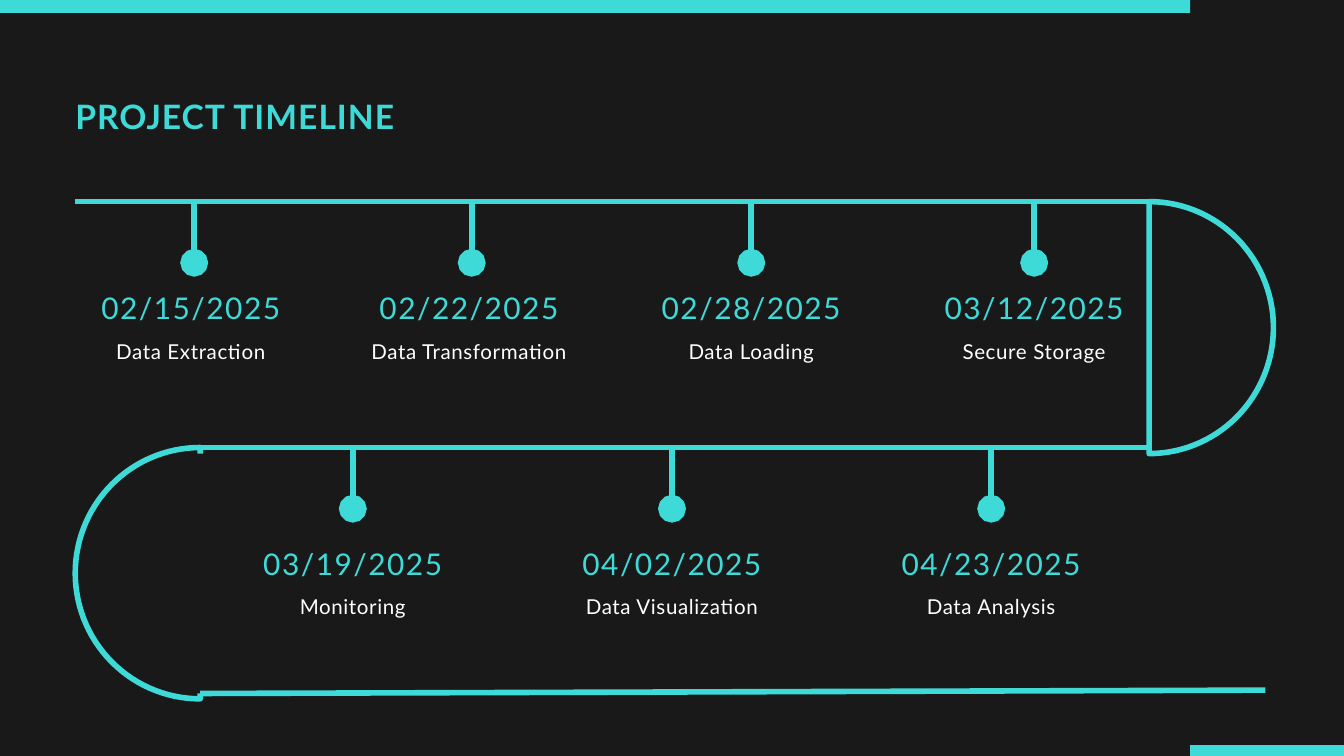
from dataclasses import dataclass
from math import cos, pi, sin

from lxml import etree
from pptx import Presentation
from pptx.dml.color import RGBColor
from pptx.enum.shapes import MSO_CONNECTOR, MSO_SHAPE
from pptx.enum.text import MSO_ANCHOR, MSO_AUTO_SIZE, PP_ALIGN
from pptx.oxml.ns import qn
from pptx.util import Inches, Pt

STRAIGHT = MSO_CONNECTOR.STRAIGHT
RECTANGLE = MSO_SHAPE.RECTANGLE
TOP = MSO_ANCHOR.TOP
NO_FIT = MSO_AUTO_SIZE.NONE
LEFT, CENTER = PP_ALIGN.LEFT, PP_ALIGN.CENTER
TITLE_ONLY = 5


@dataclass(frozen=True)
class Theme:
    font: str = "Lato"
    back: RGBColor = RGBColor(0x19, 0x19, 0x19)
    accent: RGBColor = RGBColor(0x3E, 0xDA, 0xD8)
    white: RGBColor = RGBColor(0xFF, 0xFF, 0xFF)
    title_size: float = 36
    date_size: float = 32
    label_size: float = 22
    line_width: float = 6


class TimelineSlide:
    def __init__(self, prs, theme):
        self.theme = theme
        self.s = prs.slides.add_slide(prs.slide_layouts[TITLE_ONLY])
        fill = self.s.background.fill
        fill.solid()
        fill.fore_color.rgb = theme.back

    def outline(self, shape):
        shape.line.color.rgb = self.theme.accent
        shape.line.width = Pt(self.theme.line_width)

    def bar(self, x, y, w, h, color):
        sp = self.s.shapes.add_shape(RECTANGLE, Inches(x), Inches(y), Inches(w), Inches(h))
        sp.shadow.inherit = False
        sp.fill.solid()
        sp.fill.fore_color.rgb = color
        sp.line.fill.background()

    def bend(self, x, top, bottom, reach, steps=60):
        """Closed half ellipse from (x, top) to (x, bottom), bulging by reach."""
        mid, radius = (top + bottom) / 2, (bottom - top) / 2
        angles = [pi * i / steps for i in range(steps + 1)]
        points = [(Inches(x + reach * sin(a)), Inches(mid - radius * cos(a))) for a in angles]
        builder = self.s.shapes.build_freeform(*points[0])
        builder.add_line_segments(points[1:], close=True)
        sp = builder.convert_to_shape()
        sp.shadow.inherit = False
        sp.fill.background()
        self.outline(sp)

    def line(self, x1, y1, x2, y2, dot=False):
        c = self.s.shapes.add_connector(STRAIGHT, Inches(x1), Inches(y1), Inches(x2), Inches(y2))
        self.outline(c)
        if dot:
            etree.SubElement(c.line._get_or_add_ln(), qn("a:tailEnd"),
                             type="oval", w="lg", len="lg")
        etree.SubElement(c._element.spPr, qn("a:effectLst"))

    def set_text(self, sp, text, size, color, leading, tracking, align, bold=False):
        tf = sp.text_frame
        tf.text = text
        tf.word_wrap = True
        tf.auto_size = NO_FIT
        tf.vertical_anchor = TOP
        tf.margin_left = tf.margin_top = tf.margin_right = tf.margin_bottom = 0
        p = tf.paragraphs[0]
        p.alignment = align
        p.line_spacing = Pt(leading)
        r = p.runs[0]
        r.font.name = self.theme.font
        r.font.size = Pt(size)
        r.font.bold = bold
        r.font.color.rgb = color
        r._r.get_or_add_rPr().set("spc", str(round(tracking * 100)))

    def title(self, text, x, y, w, h):
        sp = self.s.shapes.title
        sp.left, sp.top, sp.width, sp.height = Inches(x), Inches(y), Inches(w), Inches(h)
        self.set_text(sp, text, self.theme.title_size, self.theme.accent, 46.8, 1.1, LEFT,
                      bold=True)

    def text(self, text, center, y, h, *style):
        width = 3.44
        sp = self.s.shapes.add_textbox(Inches(center - width / 2), Inches(y),
                                       Inches(width), Inches(h))
        self.set_text(sp, text, *style, CENTER)

    def milestone(self, rail, stem, center, date_top, date, label):
        t = self.theme
        self.line(stem, rail, stem, rail + 0.91, dot=True)
        self.text(date, center, date_top, 0.55, t.date_size, t.accent, 41.6, 1.6)
        self.text(label, center, date_top + 0.68, 0.4, t.label_size, t.white, 33, 0.7)


# Stem position, text centre, date, label
FIRST_ROW = [
    (2.89, 2.84, "02/15/2025", "Data Extraction"),
    (7.02, 6.98, "02/22/2025", "Data Transformation"),
    (11.18, 11.18, "02/28/2025", "Data Loading"),
    (15.39, 15.39, "03/12/2025", "Secure Storage"),
]
SECOND_ROW = [
    ("03/19/2025", "Monitoring"),
    ("04/02/2025", "Data Visualization"),
    ("04/23/2025", "Data Analysis"),
]
RAIL_1, RAIL_2 = 3, 6.66


def main():
    prs = Presentation()
    prs.slide_width, prs.slide_height = Inches(20), Inches(11.25)
    theme = Theme()
    slide = TimelineSlide(prs, theme)

    # Bends, each with a cover over its inner side
    slide.bend(17.1, RAIL_1, 6.75, 1.85)
    slide.bar(14.14, 3.09, 2.9, 3.58, theme.back)
    slide.bend(2.98, RAIL_2, 10.4, -1.86)
    slide.bar(2.89, 6.75, 1.25, 3.57, theme.back)

    # Rails
    slide.line(1.12, RAIL_1, 17.11, RAIL_1)
    slide.line(2.98, RAIL_2, 17.11, RAIL_2)
    slide.line(2.98, 10.32, 18.83, 10.27)

    # Edge bars
    slide.bar(0, 0, 17.71, 0.19, theme.accent)
    slide.bar(17.71, 11.09, 2.29, 0.16, theme.accent)

    # Milestones
    for stem, center, date, label in FIRST_ROW:
        slide.milestone(RAIL_1, stem, center, 4.27, date, label)
    for i, (date, label) in enumerate(SECOND_ROW):
        x = 5.25 + 4.75 * i
        slide.milestone(RAIL_2, x, x, 8.07, date, label)

    slide.title("PROJECT TIMELINE", 1.12, 1.37, 13.39, 0.63)
    prs.save("out.pptx")


if __name__ == "__main__":
    main()
